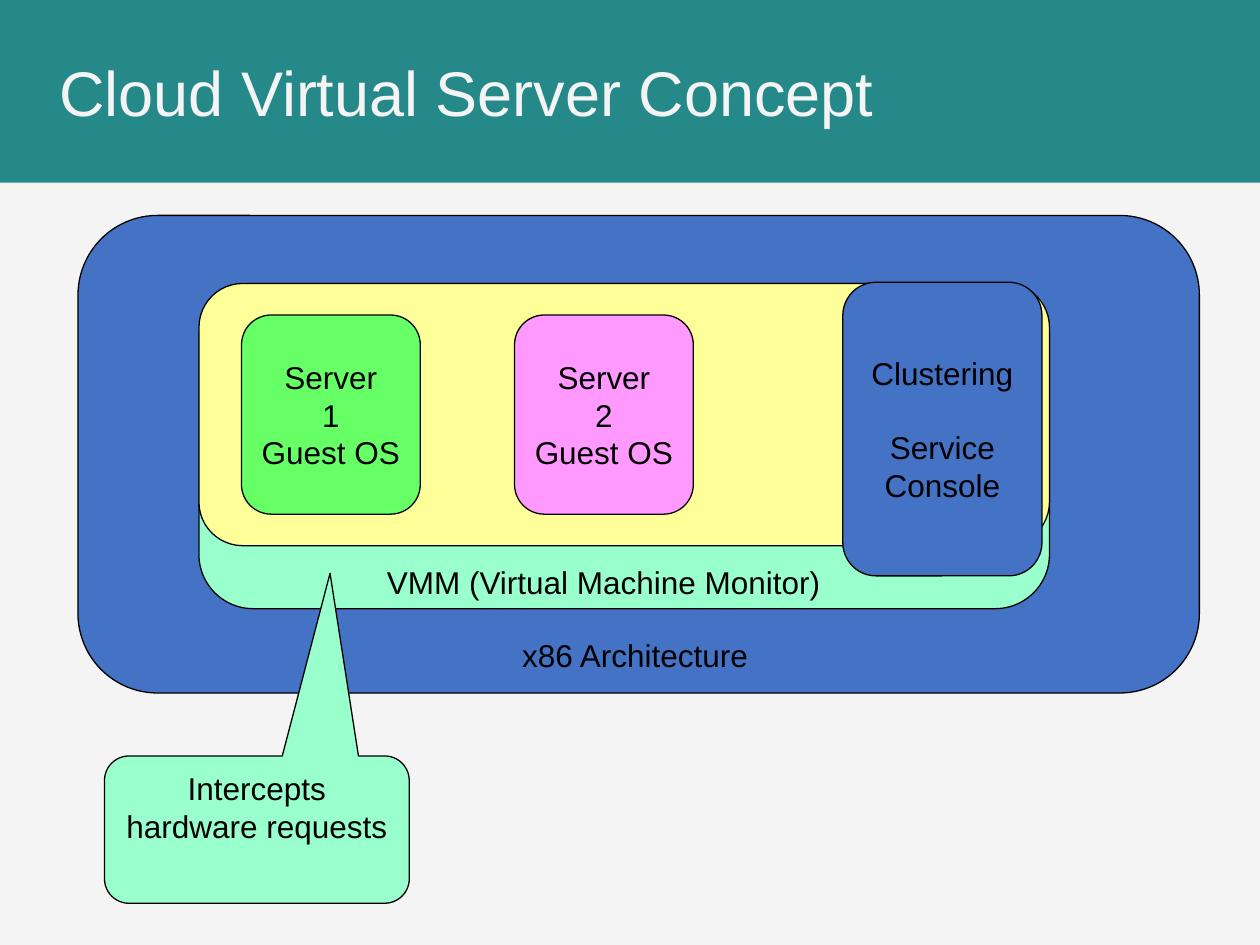
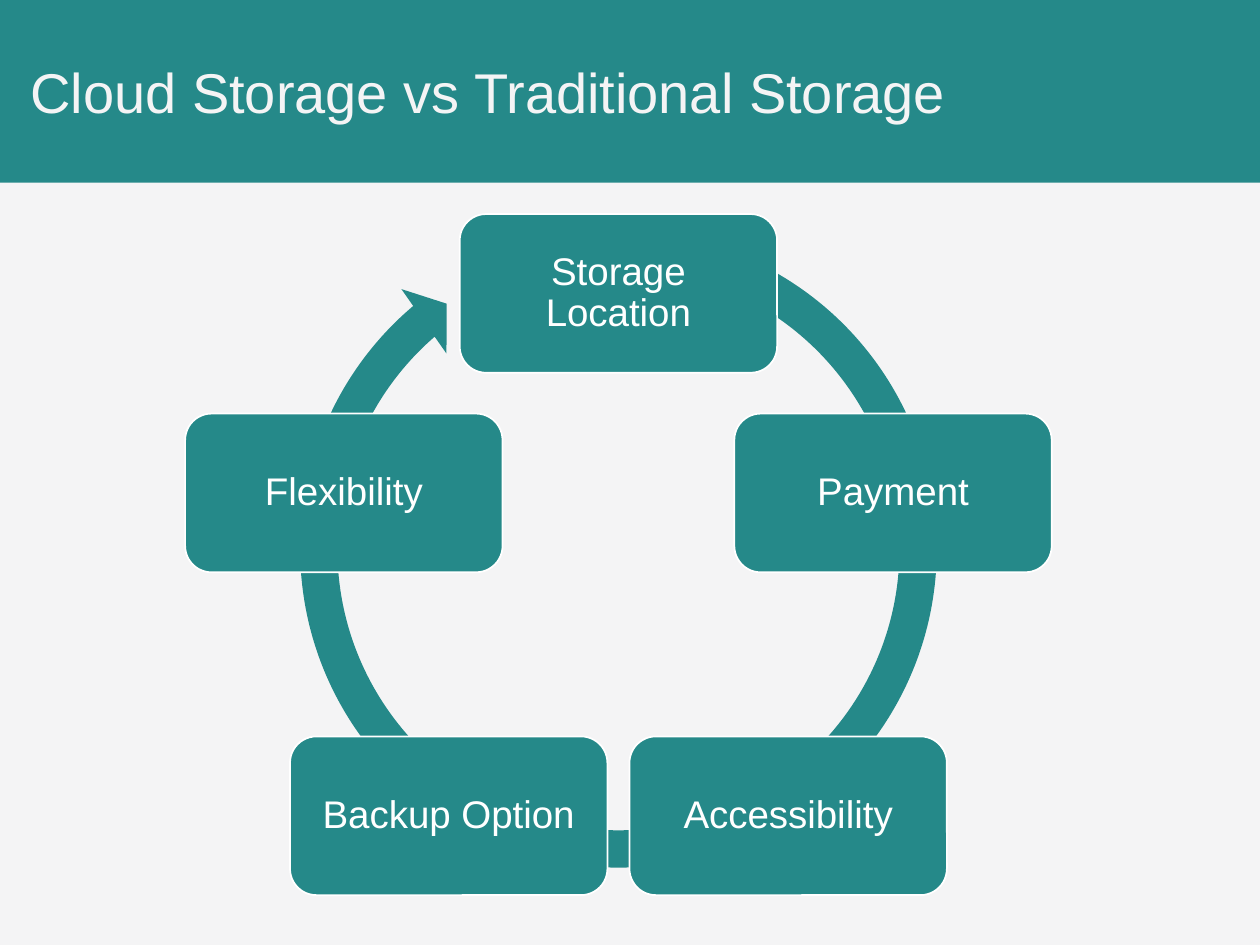
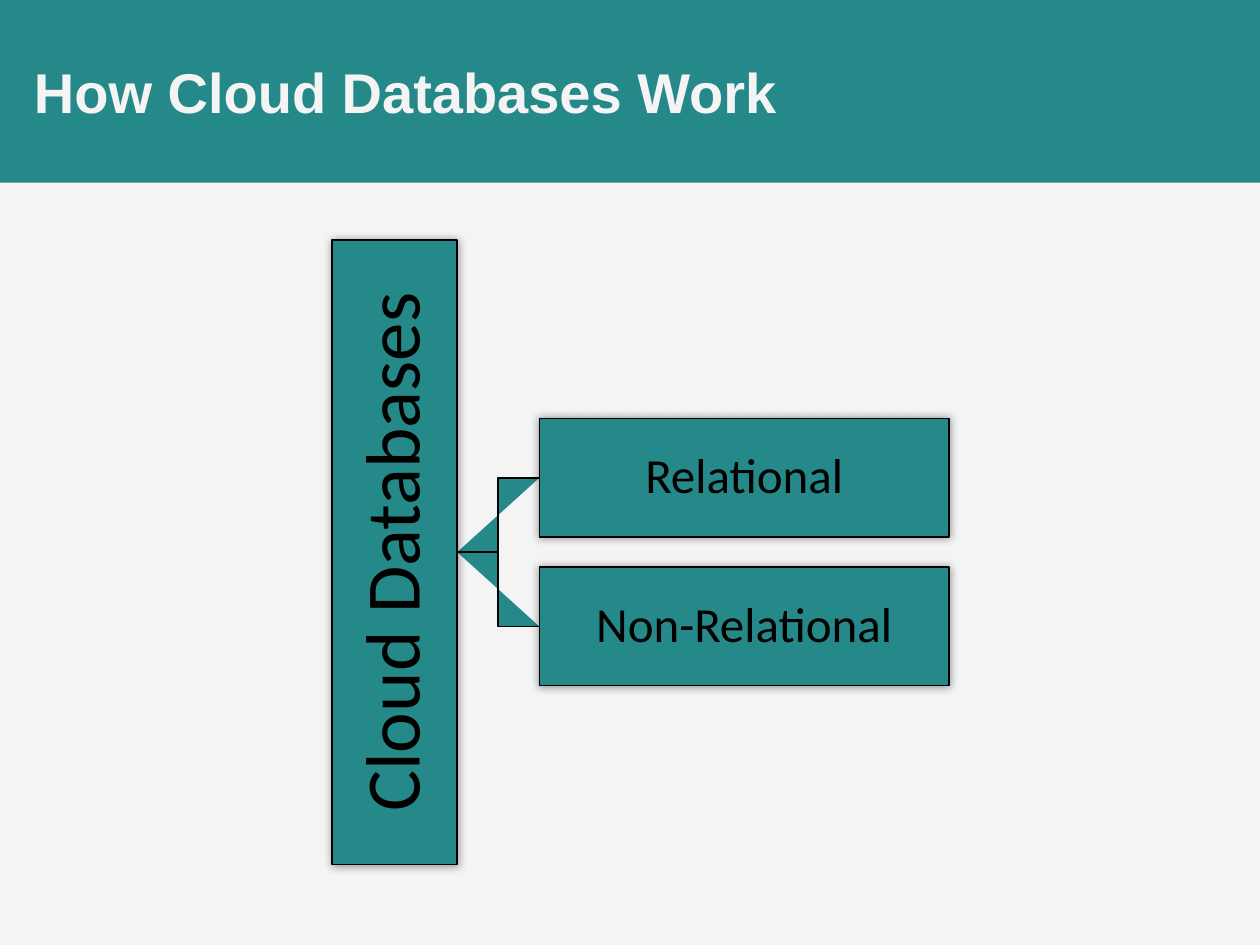
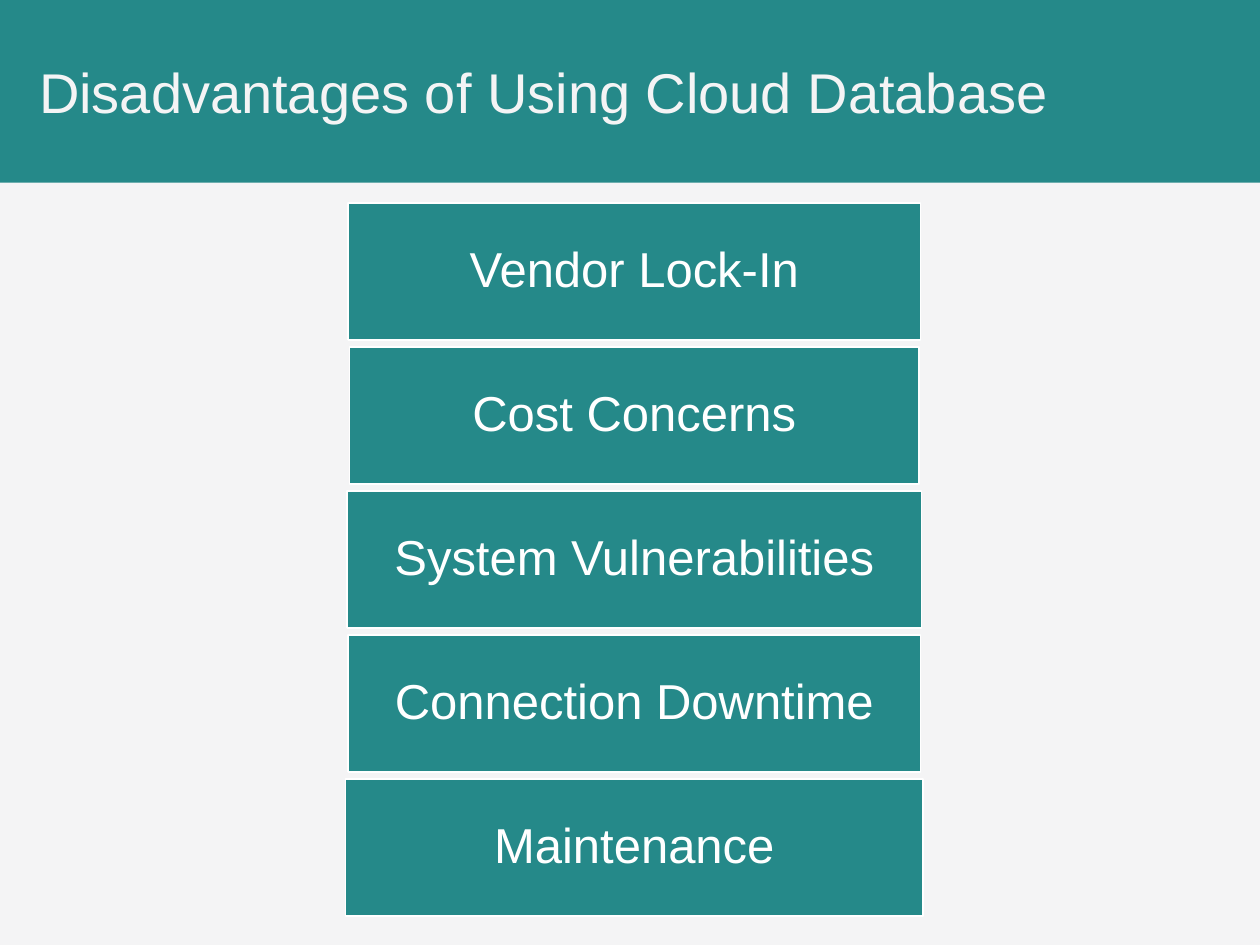
from math import cos, pi, sin

from lxml.etree import SubElement
from pptx import Presentation
from pptx.dml.color import RGBColor
from pptx.enum.shapes import MSO_SHAPE as Kind
from pptx.enum.text import MSO_ANCHOR as Anchor, MSO_AUTO_SIZE as Fit, PP_ALIGN as Align
from pptx.oxml.ns import qn
from pptx.util import Pt

TEAL, PALE, BLUE, MINT = "258989", "F4F4F5", "4472C4", "99FFCC"
YELLOW, GREEN, PINK = "FFFF99", "66FF66", "FF99FF"
BLACK, WHITE = "000000", "FFFFFF"
WIDE, HIGH, BAND = 720, 540, 104.4


def paint(target, color):
    """Give a fill or a font its colour."""
    if hasattr(target, "solid"):
        target.solid()
        target.fore_color.rgb = RGBColor.from_string(color)
    else:
        target.color.rgb = RGBColor.from_string(color)


def style(shape, fill, edge=None, weight=1):
    shape.shadow.inherit = False
    paint(shape.fill, fill)
    if edge:
        paint(shape.line.fill, edge)
        shape.line.width = Pt(weight)
    else:
        shape.line.fill.background()


def add_box(slide, kind, box, fill, edge=None, weight=1):
    shape = slide.shapes.add_shape(kind, *map(Pt, box))
    style(shape, fill, edge, weight)
    return shape


def write(shape, text, size, color=BLACK, font="Arial", bold=False, align=Align.CENTER,
          anchor=Anchor.MIDDLE, wrap=True, inset=None, space=None):
    frame = shape.text_frame
    frame.text = text
    frame.word_wrap = wrap
    frame.auto_size = Fit.NONE
    frame.vertical_anchor = anchor
    if inset is not None:
        frame.margin_left = frame.margin_right = Pt(inset)
        frame.margin_top = frame.margin_bottom = Pt(inset)
    for para in frame.paragraphs:
        para.alignment = align
        if space:
            para.line_spacing = space
        for run in para.runs:
            run.font.name, run.font.size, run.font.bold = font, Pt(size), bold
            paint(run.font, color)


def add_label(slide, box, text):
    label = slide.shapes.add_textbox(*map(Pt, box))
    write(label, text, 18, anchor=Anchor.TOP)


def add_glow(shape):
    """Soft shadow all around a shape."""
    effects = shape._element.spPr.find(qn("a:effectLst"))
    glow = SubElement(effects, qn("a:outerShdw"), blurRad=str(Pt(5)), dist="0", dir="0",
                      algn="ctr", rotWithShape="0")
    tint = SubElement(glow, qn("a:srgbClr"), val=BLACK)
    SubElement(tint, qn("a:alpha"), val="40000")


def add_page(deck, title, left, width, size=32, bold=False):
    slide = deck.slides.add_slide(deck.slide_layouts[5])
    head = slide.shapes.title
    head.left, head.top, head.width, head.height = map(Pt, (left, 0, width, BAND))
    write(head, title, size, PALE, bold=bold, align=Align.LEFT)
    return slide


def set_theme(layout, slide):
    """Move the band from the slide to the layout, so all pages share it."""
    paint(layout.background.fill, PALE)
    band = add_box(slide, Kind.RECTANGLE, (0, 0, WIDE, BAND), TEAL)
    layout.shapes._spTree.insert(2, band._element)


def draw_host(slide, x, y, w, h):
    def panel(dx, dy, wide, high, fill, kind=Kind.ROUNDED_RECTANGLE):
        return add_box(slide, kind, (x + dx, y + dy, wide, high), fill, BLACK, 0.75)

    # Nested layers
    panel(0, 0, w, h, BLUE)
    add_label(slide, (x + 99.4, y + 236.9, 437.8, 28.8), "x86 Architecture")
    panel(69.1, 38.9, 486, 185.8, MINT)
    panel(69.1, 38.9, 486, 149.8, YELLOW)
    add_label(slide, (x + 81.4, y + 195.1, 437.8, 28.8), "VMM (Virtual Machine Monitor)")
    # Guest servers
    for i, fill in enumerate((GREEN, PINK)):
        guest = panel(93.4 + 156 * i, 56.9, 102.2, 113.8, fill)
        write(guest, f"Server\n{i + 1}\nGuest OS", 18, wrap=False)
    # Console
    tool = panel(437, 38.2, 113.8, 167.8, BLUE)
    write(tool, "Clustering\nService Console", 18)
    tool.text_frame.paragraphs[1].space_before = Pt(21)
    # Callout pointing at the monitor layer
    note = panel(15.1, 308.9, 174.2, 84.2, MINT, Kind.ROUNDED_RECTANGULAR_CALLOUT)
    note.adjustments[0], note.adjustments[1] = 0.24, -1.74
    write(note, "Intercepts hardware requests", 18, anchor=Anchor.TOP)


def draw_cycle(slide, x, y, size, names):
    # Ring
    ring = add_box(slide, Kind.CIRCULAR_ARROW, (x, y, size, size), TEAL)
    for i, part in enumerate((5.5, 330.7, 13771.6, 17388.6, 5.8)):
        ring.adjustments[i] = part / 100
    # Nodes at equal angles
    wide, high, reach = 181.4, 90.7, 165
    mid_x, mid_y = x + size / 2, y + size / 2 + 18.8
    for i, name in enumerate(names):
        turn = 2 * pi * i / len(names)
        left = mid_x + reach * sin(turn) - wide / 2
        top = mid_y - reach * cos(turn) - high / 2
        node = add_box(slide, Kind.ROUNDED_RECTANGLE, (left, top, wide, high), TEAL, WHITE)
        write(node, name, 22, WHITE, inset=6.5, space=0.9)


def draw_tree(slide, x, y, w, h, root, names):
    gap, wide, high, pitch = 46.9, 234, 67.7, 85
    mid = y + h / 2
    tops = [mid + (i - (len(names) - 1) / 2) * pitch - high / 2 for i in range(len(names))]
    # Elbows from root to leaves
    for top in reversed(tops):
        end = top + high / 2
        start, bend, stop = x + w, x + w + gap / 2, x + w + gap
        pen = slide.shapes.build_freeform(Pt(start), Pt(mid))
        points = (bend, mid), (bend, end), (stop, end)
        pen.add_line_segments([(Pt(a), Pt(b)) for a, b in points], close=False)
        style(pen.convert_to_shape(), TEAL, BLACK)
    # Root, turned to read upwards
    trunk = add_box(slide, Kind.RECTANGLE, (x + (w - h) / 2, mid - w / 2, h, w), TEAL, BLACK)
    trunk.rotation = 270
    write(trunk, root, 44, font="Calibri", inset=2, space=0.9)
    add_glow(trunk)
    # Leaves
    for top, name in zip(tops, names):
        leaf = add_box(slide, Kind.RECTANGLE, (x + w + gap, top, wide, high), TEAL, BLACK)
        write(leaf, name, 28, font="Calibri", inset=1.5, space=0.9)
        add_glow(leaf)


def draw_stack(slide, mid, y, high, pitch, rows):
    for i, (name, wide) in enumerate(rows):
        box = (mid - wide / 2, y + i * pitch, wide, high)
        bar = add_box(slide, Kind.RECTANGLE, box, TEAL, WHITE)
        write(bar, name, 28, WHITE, inset=5.8, space=0.9)


def main():
    deck = Presentation()
    deck.slide_width, deck.slide_height = Pt(WIDE), Pt(HIGH)

    page = add_page(deck, "Cloud Virtual Server Concept", 26.6, 620.6, 36)
    set_theme(deck.slide_layouts[5], page)
    draw_host(page, 44.6, 123.1, 640.8, 272.9)

    page = add_page(deck, "Cloud Storage vs Traditional Storage", 10.1, 685.4)
    draw_cycle(page, 159.7, 120.2, 387.4, ("Storage Location", "Payment", "Accessibility",
                                           "Backup Option", "Flexibility"))

    page = add_page(deck, "How Cloud Databases Work", 12.2, 635, bold=True)
    draw_tree(page, 189.9, 137, 71.4, 357, "Cloud Databases", ("Relational", "Non-Relational"))

    page = add_page(deck, "Disadvantages of Using Cloud Database", 15.1, 679.7)
    draw_stack(page, 362.4, 115.9, 78.5, 82.3, (
        ("Vendor Lock-In", 327.4), ("Cost Concerns", 325.4), ("System Vulnerabilities", 328.5),
        ("Connection Downtime", 327.4), ("Maintenance", 329.8)))

    deck.save("out.pptx")


if __name__ == "__main__":
    main()
